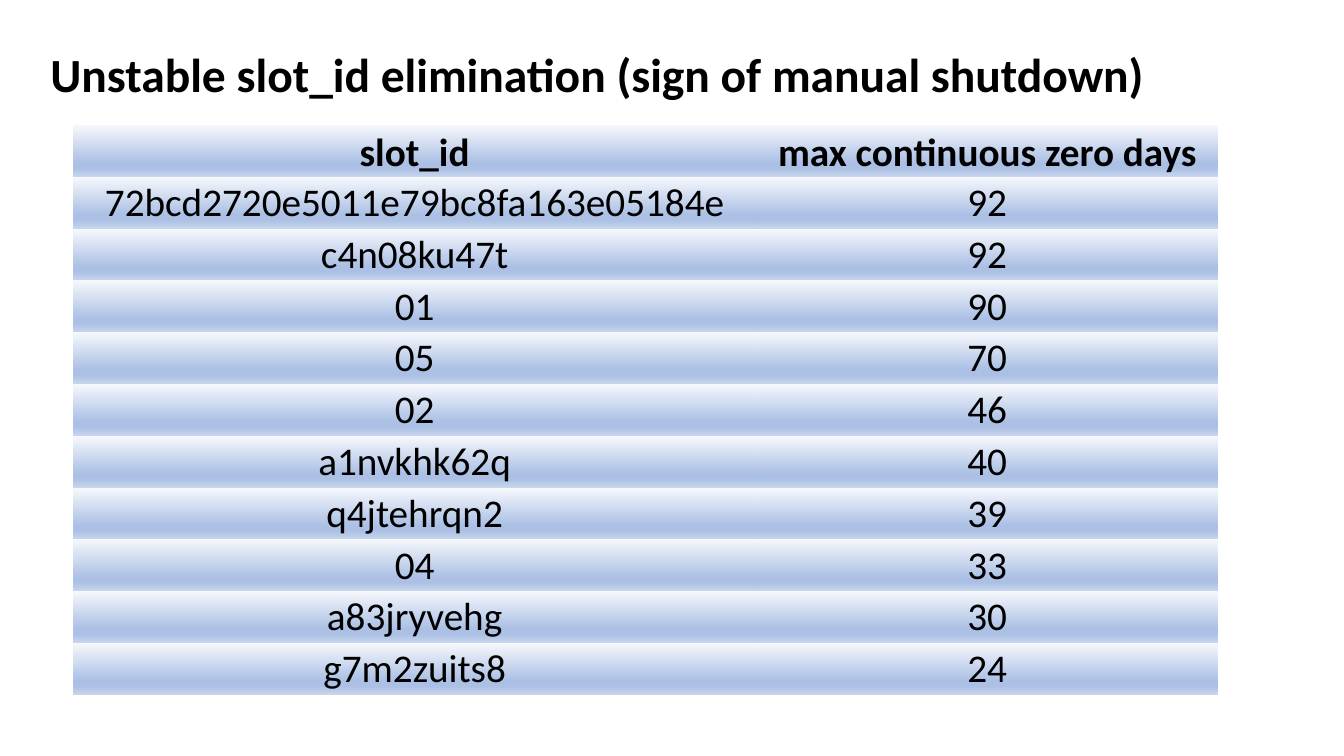
from lxml.etree import SubElement
from pptx import Presentation
from pptx.dml.color import RGBColor
from pptx.enum.text import MSO_ANCHOR, PP_ALIGN
from pptx.oxml.ns import qn
from pptx.util import Pt

FONT = "Calibri"
BLACK = "000000"
ROW_GRADIENT = [(0, "F6F8FC"), (74, "ABC0E4"), (83, "ABC0E4"), (100, "C7D5ED")]
PLAIN_STYLE = "{2D5ABB26-0587-4C30-8999-92F81FD0307C}"
TITLE = "Unstable slot_id elimination (sign of manual shutdown)"
ZERO_DAYS = [
    ("slot_id", "max continuous zero days"),
    ("72bcd2720e5011e79bc8fa163e05184e", "92"),
    ("c4n08ku47t", "92"),
    ("01", "90"),
    ("05", "70"),
    ("02", "46"),
    ("a1nvkhk62q", "40"),
    ("q4jtehrqn2", "39"),
    ("04", "33"),
    ("a83jryvehg", "30"),
    ("g7m2zuits8", "24"),
]


def color(value):
    return RGBColor.from_string(value)


def write(frame, text, size=28, bold=False, fill=BLACK, align=PP_ALIGN.CENTER,
          line_spacing=None, space_after=None):
    paragraph = frame.paragraphs[0]
    paragraph.alignment = align
    paragraph.line_spacing = line_spacing
    paragraph.space_after = space_after
    run = paragraph.add_run()
    run.text = text
    run.font.name = FONT
    run.font.size = Pt(size)
    run.font.bold = bold
    run.font.color.rgb = color(fill)


def shade(cell, stops):
    gradient = SubElement(cell._tc.get_or_add_tcPr(), qn("a:gradFill"), rotWithShape="1")
    stop_list = SubElement(gradient, qn("a:gsLst"))
    for percent, value in stops:
        stop = SubElement(stop_list, qn("a:gs"), pos=str(percent * 1000))
        SubElement(stop, qn("a:srgbClr"), val=str(color(value)))
    SubElement(gradient, qn("a:lin"), ang="5400000", scaled="0")


def place_title(slide, left, top, width, height):
    title = slide.shapes.title
    title.left, title.top = Pt(left), Pt(top)
    title.width, title.height = Pt(width), Pt(height)
    title.text_frame.word_wrap = True
    title.text_frame.vertical_anchor = MSO_ANCHOR.BOTTOM
    write(title.text_frame, TITLE, size=34, bold=True, align=PP_ALIGN.LEFT,
          line_spacing=0.9, space_after=Pt(6))


def place_zero_days(slide, left, top, width, height, id_share=0.597):
    frame = slide.shapes.add_table(len(ZERO_DAYS), 2, Pt(left), Pt(top), Pt(width), Pt(height))
    table = frame.table
    table.first_row = table.horz_banding = False
    table._tbl.tblPr.find(qn("a:tableStyleId")).text = PLAIN_STYLE
    for column, share in zip(table.columns, (id_share, 1 - id_share)):
        column.width = Pt(width * share)
    for index, (row, values) in enumerate(zip(table.rows, ZERO_DAYS)):
        row.height = Pt(height / len(ZERO_DAYS))
        header = index == 0
        for cell, text in zip(row.cells, values):
            cell.margin_left = cell.margin_right = cell.margin_top = Pt(0.7)
            cell.margin_bottom = Pt(0)
            cell.vertical_anchor = MSO_ANCHOR.BOTTOM if header else MSO_ANCHOR.MIDDLE
            write(cell.text_frame, text, bold=header)
            shade(cell, ROW_GRADIENT)


def main():
    deck = Presentation()
    deck.slide_width, deck.slide_height = Pt(960), Pt(540)
    slide = deck.slides.add_slide(deck.slide_layouts[5])
    place_title(slide, 28.8, 7.2, 828, 70)
    place_zero_days(slide, 52, 89.3, 818, 407)
    deck.save("out.pptx")


if __name__ == "__main__":
    main()
